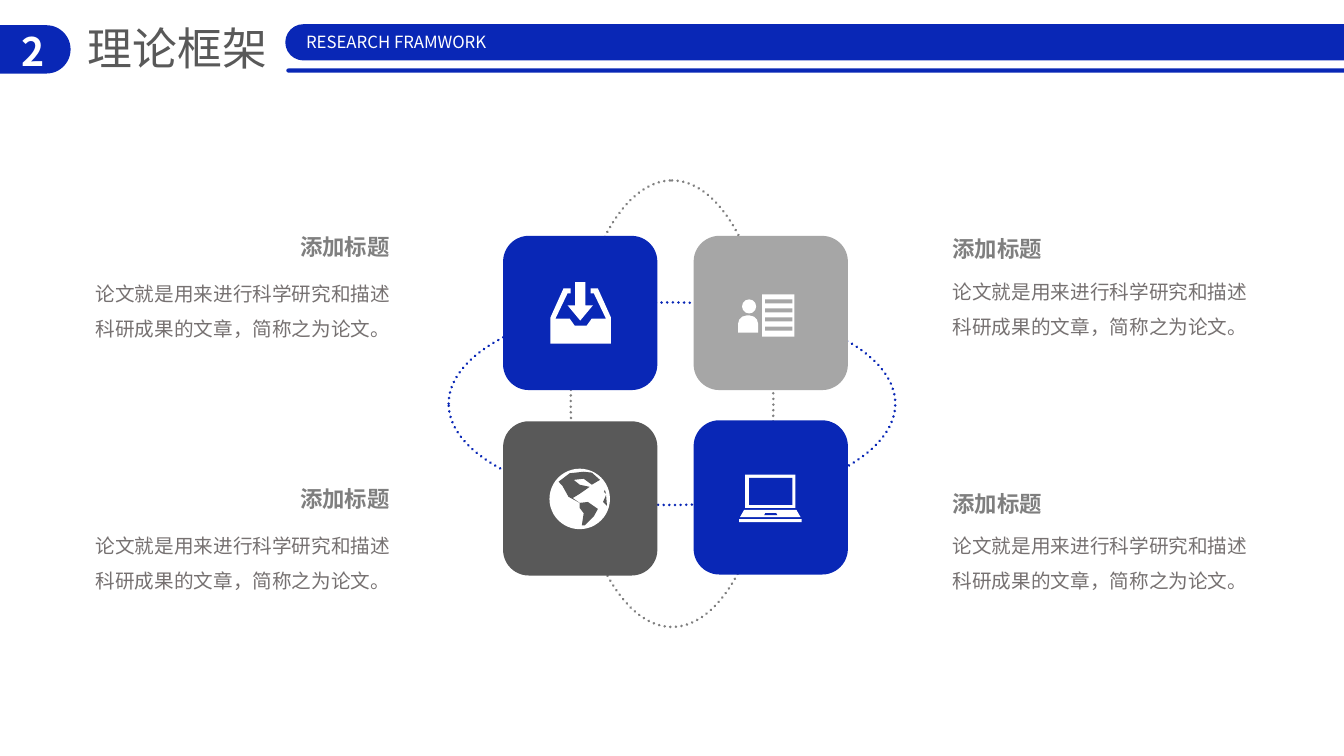
from dataclasses import dataclass

from lxml import etree
from pptx import Presentation
from pptx import util as u
from pptx.dml.color import RGBColor
from pptx.enum import dml, shapes, text
from pptx.oxml.ns import qn

Outline = list[tuple[float, float]]
Kind = shapes.MSO_SHAPE
Align = text.PP_ALIGN

FONT = "Noto Sans CJK SC"
COLORS = {
    "blue": "0927B6", "silver": "A6A6A6", "dark": "595959", "orbit": "808080",
    "heading": "7F7F7F", "body": "767171", "white": "FFFFFF",
}
HEADING = "添加标题"
BODY = "论文就是用来进行科学研究和描述科研成果的文章，简称之为论文。"
TILE_SIZE = 1.53
CARD_ROWS = 4
CARD_ROW_STEP = 0.09
TRAY_CENTER = 5.76
GLOBE_CENTER = (5.75, 4.95)
GLOBE_RADIUS = 0.3


@dataclass
class Block:
    kind: Kind
    left: float
    top: float
    width: float
    height: float
    color: str
    adjustments: tuple[float, ...] = ()


@dataclass
class Note:
    body_left: float
    heading_left: float
    heading_top: float
    body_top: float


NOTES = [
    Note(0.85, 2.88, 2.26, 2.63), Note(0.85, 2.88, 4.76, 5.13),
    Note(9.35, 9.35, 2.28, 2.61), Note(9.35, 9.35, 4.81, 5.13),
]
HEADER_BARS = [
    Block(Kind.ROUNDED_RECTANGLE, left, top, width, height, "blue", (0.5,))
    for left, top, width, height in [
        (-0.28, 0.25, 0.98, 0.48), (2.83, 0.24, 11.03, 0.36), (2.84, 0.68, 11.03, 0.04)]
]
TILES = [
    Block(Kind.ROUNDED_RECTANGLE, left, top, TILE_SIZE, TILE_SIZE, color)
    for left, top, color in [(4.99, 2.34, "blue"), (6.88, 2.34, "silver"),
                             (4.99, 4.18, "dark"), (6.88, 4.17, "blue")]
]
DOWNLOAD_ARROW = Block(Kind.DOWN_ARROW, 5.63, 2.8, 0.25, 0.38, "white", (0.4, 0.6))
CONTACT_CARD = [
    Block(Kind.OVAL, 7.36, 2.97, 0.14, 0.14, "white"),
    Block(Kind.ROUND_2_SAME_RECTANGLE, 7.32, 3.13, 0.2, 0.17, "white", (0.5, 0)),
    Block(Kind.RECTANGLE, 7.56, 2.92, 0.32, 0.42, "white"),
] + [
    Block(Kind.RECTANGLE, 7.59, 2.97 + row * CARD_ROW_STEP, 0.27, 0.04, "silver")
    for row in range(CARD_ROWS)
]
LAPTOP = [
    Block(Kind.RECTANGLE, 7.39, 4.71, 0.5, 0.33, "white"),
    Block(Kind.RECTANGLE, 7.43, 4.74, 0.43, 0.27, "blue"),
    Block(Kind.TRAPEZOID, 7.34, 5.06, 0.6, 0.07, "white", (0.57,)),
    Block(Kind.TRAPEZOID, 7.58, 5.09, 0.13, 0.02, "blue", (0.5,)),
    Block(Kind.RECTANGLE, 7.33, 5.15, 0.62, 0.03, "white"),
]
GLOBE = Block(Kind.OVAL, GLOBE_CENTER[0] - GLOBE_RADIUS, GLOBE_CENTER[1] - GLOBE_RADIUS,
              2 * GLOBE_RADIUS, 2 * GLOBE_RADIUS, "white")
TRAY_RIGHT_HALF = [(0.3, 3.41), (0.3, 3.15), (0.17, 2.86), (0.1, 2.86), (0.1, 2.91),
                   (0.13, 2.91), (0.25, 3.16), (0.11, 3.16), (0.06, 3.23)]
CONTINENTS = {
    "north america": [(-0.7, -0.57), (-0.33, -0.85), (0.13, -0.9), (0.4, -0.87),
                      (0.67, -0.63), (0.4, -0.47), (0.13, -0.67), (-0.2, -0.63),
                      (0, -0.47), (0.33, -0.4), (0, -0.17), (-0.23, -0.03),
                      (0, 0.13), (-0.37, -0.07), (-0.57, -0.43)],
    "south america": [(0, 0.13), (0.27, 0.1), (0.6, 0.33), (0.47, 0.57),
                      (0.17, 0.87), (0.07, 0.87), (0.13, 0.47), (0, 0.3)],
    "africa": [(0.87, -0.13), (0.9, 0.23), (0.77, 0.1)],
    "europe": [(0.83, -0.3), (0.87, -0.17), (0.8, -0.23)],
}


def color(name: str) -> RGBColor:
    return RGBColor.from_string(COLORS[name])


def paint(shape, fill: str) -> None:
    shape.shadow.inherit = False
    shape.fill.solid()
    shape.fill.fore_color.rgb = color(fill)
    shape.line.fill.background()


def add_block(slide, block: Block):
    shape = slide.shapes.add_shape(block.kind, u.Inches(block.left), u.Inches(block.top),
                                   u.Inches(block.width), u.Inches(block.height))
    paint(shape, block.color)
    for index, adjustment in enumerate(block.adjustments):
        shape.adjustments[index] = adjustment
    return shape


def add_outline(slide, outline: Outline, fill: str) -> None:
    start, *rest = [(u.Inches(x), u.Inches(y)) for x, y in outline]
    builder = slide.shapes.build_freeform(*start)
    builder.add_line_segments(rest, close=True)
    paint(builder.convert_to_shape(), fill)


def add_orbit(slide, line: str, rotation: int) -> None:
    orbit = add_block(slide, Block(Kind.OVAL, 4.45, 3, 4.43, 2.01, "white"))
    orbit.fill.background()
    orbit.line.color.rgb = color(line)
    orbit.line.width = u.Pt(2)
    orbit.line.dash_style = dml.MSO_LINE.ROUND_DOT
    orbit._element.spPr.find(qn("a:ln")).set("cap", "rnd")
    orbit.rotation = rotation


def add_tray(slide) -> None:
    right = [(TRAY_CENTER + offset, y) for offset, y in TRAY_RIGHT_HALF]
    left = [(TRAY_CENTER - offset, y) for offset, y in reversed(TRAY_RIGHT_HALF)]
    add_outline(slide, right + left, "white")


def add_globe(slide) -> None:
    add_block(slide, GLOBE)
    center_x, center_y = GLOBE_CENTER
    for continent in CONTINENTS.values():
        add_outline(slide, [(center_x + x * GLOBE_RADIUS, center_y + y * GLOBE_RADIUS)
                            for x, y in continent], "dark")


def write(shape, content: str, size: int, name: str, bold: bool = False,
          align: Align = Align.LEFT, wrap: bool = False, spacing: float = 1.0) -> None:
    frame = shape.text_frame
    frame.text = content
    frame.word_wrap = wrap
    frame.auto_size = text.MSO_AUTO_SIZE.SHAPE_TO_FIT_TEXT
    frame.vertical_anchor = text.MSO_ANCHOR.TOP
    paragraph = frame.paragraphs[0]
    paragraph.alignment = align
    paragraph.line_spacing = spacing
    font = paragraph.font
    font.size, font.bold, font.name = u.Pt(size), bold, FONT
    font.color.rgb = color(name)
    properties = paragraph._p.find(qn("a:pPr")).find(qn("a:defRPr"))
    etree.SubElement(properties, qn("a:ea")).set("typeface", FONT)


def add_label(slide, left: float, top: float, width: float, height: float,
              content: str, size: int, name: str, **style) -> None:
    label = slide.shapes.add_textbox(u.Inches(left), u.Inches(top),
                                     u.Inches(width), u.Inches(height))
    write(label, content, size, name, **style)


def main() -> None:
    presentation = Presentation()
    presentation.slide_width = u.Inches(13.33)
    presentation.slide_height = u.Inches(7.5)
    slide = presentation.slides.add_slide(presentation.slide_layouts[5])

    title = slide.shapes.title
    title.left, title.top = u.Inches(0.77), u.Inches(0.16)
    title.width, title.height = u.Inches(2), u.Inches(0.64)
    write(title, "理论框架", 32, "dark")

    add_orbit(slide, "blue", 0)
    add_orbit(slide, "orbit", 90)
    for note in NOTES:
        add_label(slide, note.heading_left, note.heading_top, 1.1, 0.37,
                  HEADING, 16, "heading", bold=True)
        add_label(slide, note.body_left, note.body_top, 3.13, 0.81,
                  BODY, 14, "body", wrap=True, spacing=1.5)

    for block in HEADER_BARS + TILES + [DOWNLOAD_ARROW] + CONTACT_CARD + LAPTOP:
        add_block(slide, block)
    add_tray(slide)
    add_globe(slide)
    add_label(slide, 0.07, 0.22, 0.51, 0.57, "2", 28, "white",
              bold=True, align=Align.CENTER, wrap=True)
    add_label(slide, 2.87, 0.27, 2.12, 0.3, "RESEARCH FRAMWORK", 12, "white",
              align=Align.CENTER)
    presentation.save("out.pptx")


if __name__ == "__main__":
    main()
